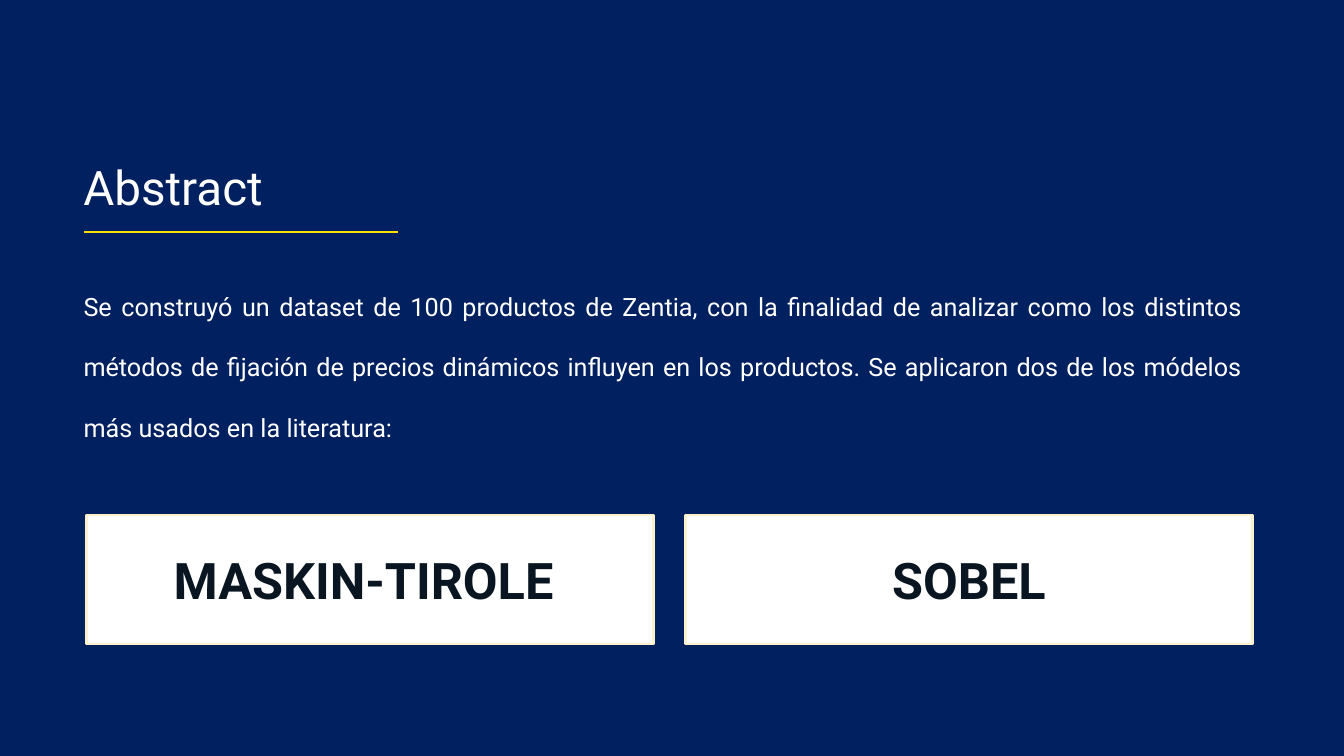
from dataclasses import dataclass

from lxml import etree
from pptx import Presentation
from pptx.dml.color import RGBColor
from pptx.enum.shapes import MSO_CONNECTOR, MSO_SHAPE
from pptx.enum.text import MSO_ANCHOR, PP_ALIGN
from pptx.oxml.ns import qn
from pptx.shapes.base import BaseShape
from pptx.slide import Slide
from pptx.util import Inches, Pt

RECTANGLE = MSO_SHAPE.RECTANGLE
STRAIGHT = MSO_CONNECTOR.STRAIGHT
TOP, MIDDLE, BOTTOM = MSO_ANCHOR.TOP, MSO_ANCHOR.MIDDLE, MSO_ANCHOR.BOTTOM
LEFT, CENTER, JUSTIFY = PP_ALIGN.LEFT, PP_ALIGN.CENTER, PP_ALIGN.JUSTIFY

FONT = "Roboto"
NAVY, WHITE, YELLOW, CREAM, INK = "002060", "FFFFFF", "FCDE02", "FFF2CC", "091622"

BODY = (
    "Se construyó un dataset de 100 productos de Zentia, con la finalidad de "
    "analizar como los distintos métodos de fijación de precios dinámicos influyen "
    "en los productos. Se aplicaron dos de los módelos más usados en la literatura: "
)


@dataclass(frozen=True)
class Box:
    left: float
    top: float
    width: float
    height: float

    def lengths(self) -> tuple[int, int, int, int]:
        return (Inches(self.left), Inches(self.top),
                Inches(self.width), Inches(self.height))


@dataclass(frozen=True)
class ModelCard:
    name: str
    box: Box


CARDS = [
    ModelCard(name, Box(0.86 + index * 5.94, 5.11, 5.62, 1.28))
    for index, name in enumerate(["MASKIN-TIROLE ", "SOBEL"])
]


def color(value: str) -> RGBColor:
    return RGBColor.from_string(value)


def write_text(shape: BaseShape, text: str, *, size: float, font_color: str = WHITE,
               bold: bool = False, align: PP_ALIGN = LEFT,
               anchor: MSO_ANCHOR = TOP, spacing: float = 1.0) -> None:
    frame = shape.text_frame
    frame.word_wrap = True
    frame.vertical_anchor = anchor
    paragraph = frame.paragraphs[0]
    paragraph.alignment = align
    paragraph.line_spacing = spacing
    run = paragraph.add_run()
    run.text = text
    run.font.name = FONT
    run.font.size = Pt(size)
    run.font.bold = bold
    run.font.color.rgb = color(font_color)


def add_text_box(slide: Slide, box: Box) -> BaseShape:
    return slide.shapes.add_textbox(*box.lengths())


def add_title_rule(slide: Slide, left: float, right: float, top: float) -> None:
    rule = slide.shapes.add_connector(
        STRAIGHT, Inches(left), Inches(top), Inches(right), Inches(top))
    rule.line.color.rgb = color(YELLOW)
    rule.line.width = Pt(1.5)
    etree.SubElement(rule.element.spPr, qn("a:effectLst"))


def add_card(slide: Slide, card: ModelCard) -> None:
    shape = slide.shapes.add_shape(RECTANGLE, *card.box.lengths())
    shape.shadow.inherit = False
    shape.fill.solid()
    shape.fill.fore_color.rgb = color(WHITE)
    shape.line.color.rgb = color(CREAM)
    shape.line.width = Pt(2)
    write_text(shape, card.name, size=36, font_color=INK, bold=True,
               align=CENTER, anchor=MIDDLE)


def main() -> None:
    presentation = Presentation()
    presentation.slide_width = Inches(13.33)
    presentation.slide_height = Inches(7.5)
    slide = presentation.slides.add_slide(presentation.slide_layouts[6])

    # Background
    slide.background.fill.solid()
    slide.background.fill.fore_color.rgb = color(NAVY)

    # Title with its rule
    add_title_rule(slide, 0.83, 3.95, 2.3)
    title = add_text_box(slide, Box(0.73, 0.74, 11.5, 1.45))
    write_text(title, "Abstract", size=34, anchor=BOTTOM, spacing=0.9)

    # Summary
    summary = add_text_box(slide, Box(0.73, 2.54, 11.69, 2.22))
    write_text(summary, BODY, size=18, align=JUSTIFY, spacing=2.0)

    # Pricing models
    for card in CARDS:
        add_card(slide, card)

    presentation.save("out.pptx")


if __name__ == "__main__":
    main()
